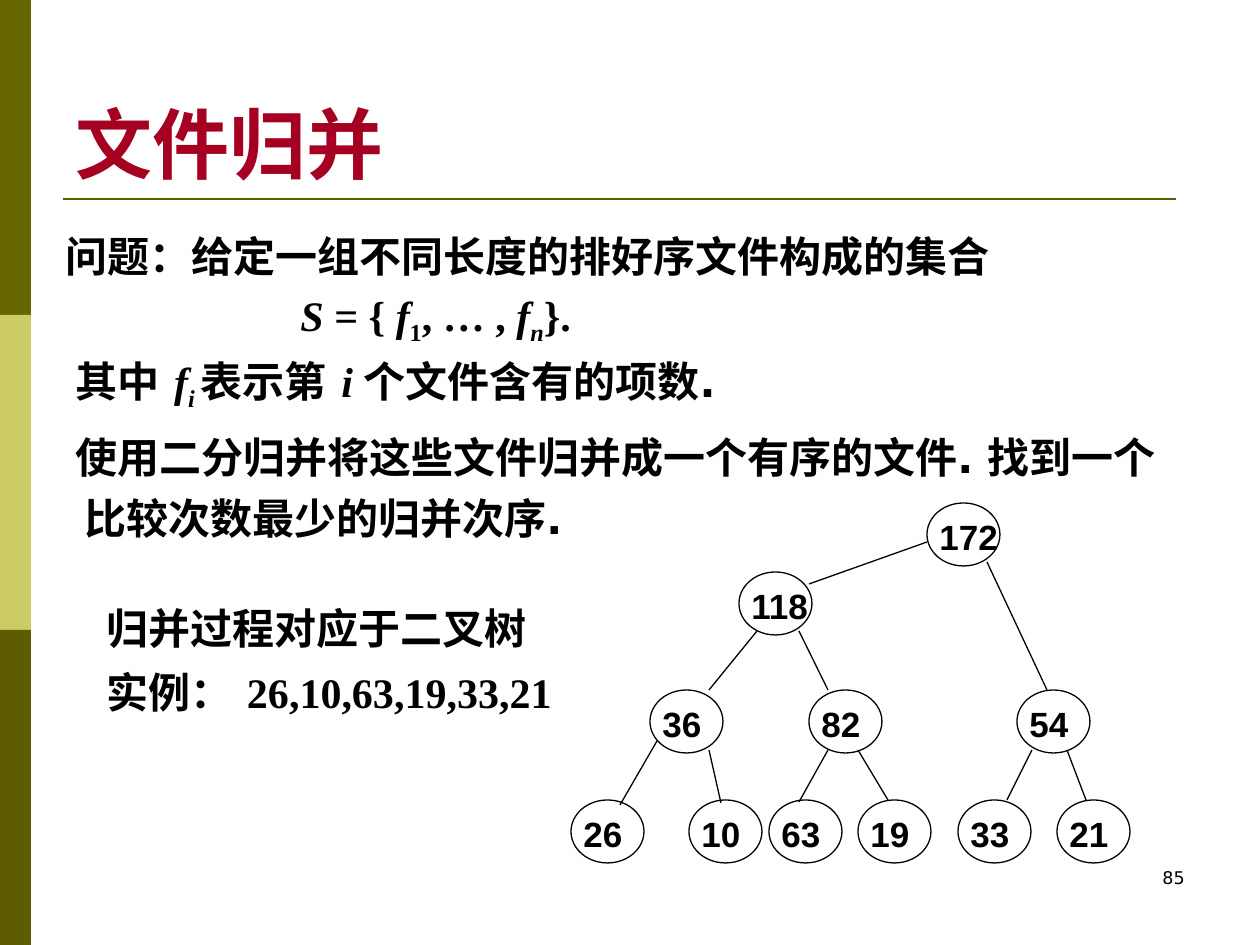
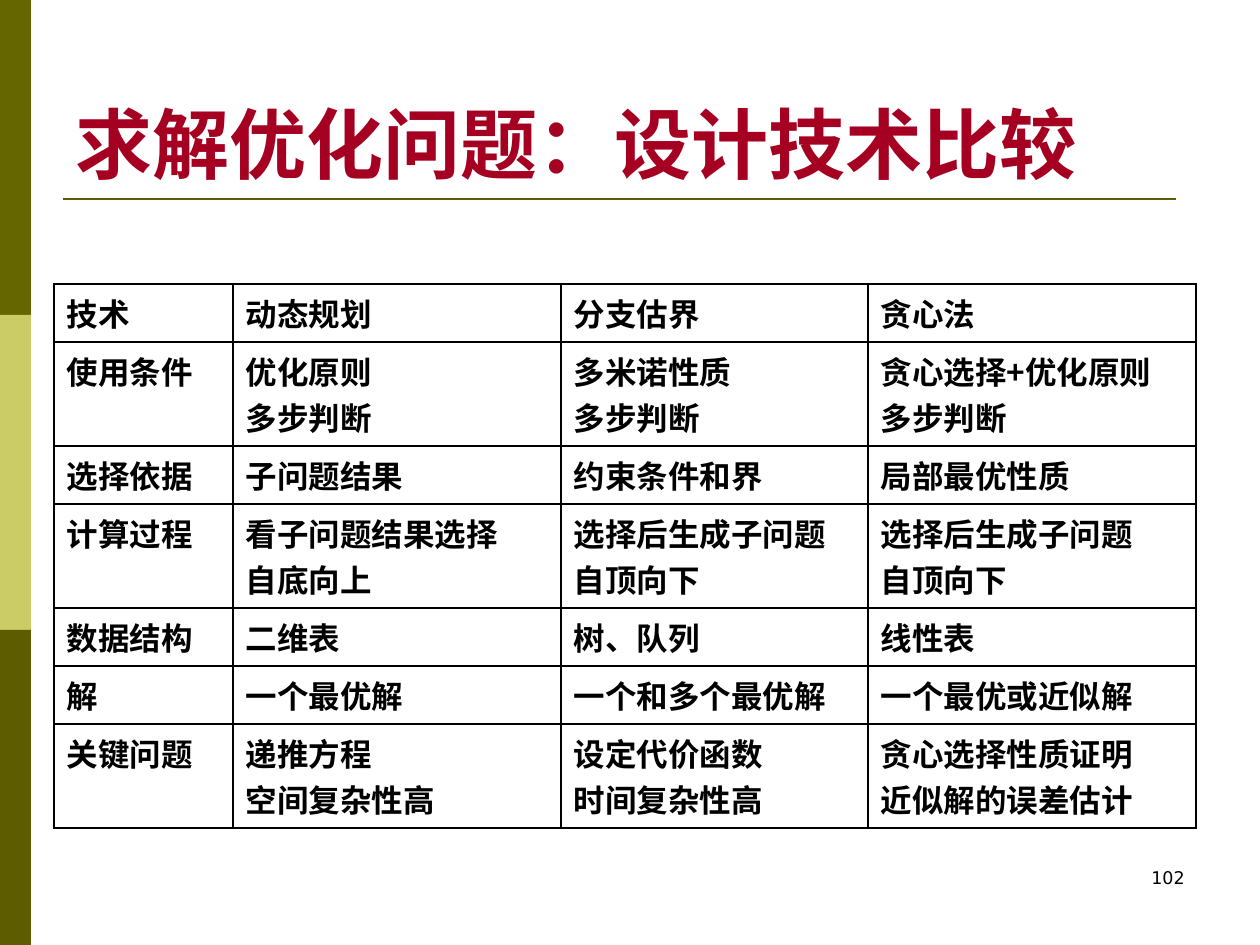
from pptx import Presentation
from pptx.dml.color import RGBColor
from pptx.enum.shapes import MSO_CONNECTOR, MSO_SHAPE
from pptx.enum.text import MSO_ANCHOR, PP_ALIGN
from pptx.oxml.ns import qn
from pptx.util import Emu, Pt
from lxml.etree import SubElement

EMU_PER_PX = 914400 / 126
COLORS = {
    "black": "000000",
    "white": "FFFFFF",
    "title": "A50021",
    "rule": "5E5C00",
    "band_top": "666600",
    "band_middle": "CCCC66",
    "band_bottom": "5E5C00",
}
SANS, SERIF, CHINESE, LABEL = "DejaVu Sans", "Times New Roman", "Noto Sans CJK SC", "Arial"

NODE_WIDTH, NODE_HEIGHT = 73, 63
LEVEL_TOPS = [503, 572, 690, 800]
# Each level lists (value, left edge).
TREE_LEVELS = [
    [(172, 927)],
    [(118, 739)],
    [(36, 650), (82, 809), (54, 1017)],
    [(26, 571), (10, 689), (63, 769), (19, 858), (33, 958), (21, 1057)],
]
# Each branch runs from its parent to its child: x, y, x, y.
BRANCHES = [
    (927, 542, 809, 584), (987, 562, 1047, 690),
    (757, 631, 709, 690), (799, 631, 828, 690),
    (657, 741, 620, 805), (709, 750, 721, 803),
    (828, 750, 799, 802), (858, 750, 888, 800),
    (1032, 750, 1007, 800), (1067, 750, 1086, 800),
]

COLUMN_WIDTHS = [179, 328, 307, 328]
LINE_HEIGHT, CELL_PADDING = 46, 12
COMPARISON = [
    ["技术", "动态规划", "分支估界", "贪心法"],
    ["使用条件", "优化原则\n多步判断", "多米诺性质\n多步判断", "贪心选择+优化原则\n多步判断"],
    ["选择依据", "子问题结果", "约束条件和界", "局部最优性质"],
    ["计算过程", "看子问题结果选择\n自底向上", "选择后生成子问题\n自顶向下", "选择后生成子问题\n自顶向下"],
    ["数据结构", "二维表", "树、队列", "线性表"],
    ["解", "一个最优解", "一个和多个最优解", "一个最优或近似解"],
    ["关键问题", "递推方程\n空间复杂性高", "设定代价函数\n时间复杂性高", "贪心选择性质证明\n近似解的误差估计"],
]


def px(length):
    return Emu(round(length * EMU_PER_PX))


def rgb(name):
    return RGBColor.from_string(COLORS[name])


def add_span(para, text, size=24, font=SERIF, east_asian=SANS, color="black",
             bold=True, italic=False, baseline=0):
    span = para.add_run()
    span.text = text
    span.font.size = Pt(size)
    span.font.name = font
    span.font.bold = bold
    span.font.italic = italic
    span.font.color.rgb = rgb(color)
    properties = span.font._element
    SubElement(properties, qn("a:ea"), typeface=east_asian)
    if baseline:
        properties.set("baseline", str(baseline * 1000))


def write_paragraph(para, spans, align=PP_ALIGN.LEFT, before=0, spacing=None,
                    margin=0, indent=0, **style):
    """Write a string, or a list of (text, style) spans, into one paragraph."""
    para.alignment = align
    para.space_before = Pt(before)
    if spacing:
        para.line_spacing = spacing
    properties = para._p.get_or_add_pPr()
    properties.set("marL", str(px(margin)))
    properties.set("indent", str(px(indent)))
    for text, own_style in [(spans, {})] if isinstance(spans, str) else spans:
        add_span(para, text, **{**style, **own_style})


def add_text(page, text, left, top, width, height, anchor=MSO_ANCHOR.TOP, wrap=True, **style):
    """Add a text box; text is a string or a list of (spans, paragraph format)."""
    box = page.shapes.add_textbox(px(left), px(top), px(width), px(height))
    frame = box.text_frame
    frame.word_wrap = wrap
    frame.vertical_anchor = anchor
    paragraphs = [(text, {})] if isinstance(text, str) else text
    for index, (spans, layout) in enumerate(paragraphs):
        para = frame.add_paragraph() if index else frame.paragraphs[0]
        write_paragraph(para, spans, **{**style, **layout})


def add_line(page, x1, y1, x2, y2, color="black", weight=0.75):
    line = page.shapes.add_connector(MSO_CONNECTOR.STRAIGHT, px(x1), px(y1), px(x2), px(y2))
    line.line.color.rgb = rgb(color)
    line.line.width = Pt(weight)
    SubElement(line._element.spPr, qn("a:effectLst"))


def add_band(page, top, color):
    band = page.shapes.add_shape(MSO_SHAPE.RECTANGLE, 0, px(top), px(31), px(315))
    band.shadow.inherit = False
    band.fill.solid()
    band.fill.fore_color.rgb = rgb(color)
    band.line.fill.background()


def add_page(deck, title, number):
    page = deck.slides.add_slide(deck.slide_layouts[6])
    for index, color in enumerate(["band_top", "band_middle", "band_bottom"]):
        add_band(page, index * 315, color)
    add_line(page, 63, 199, 1176, 199, "rule", 1.5)
    add_text(page, str(number), 903, 861, 294, 63, align=PP_ALIGN.RIGHT,
             size=10, font=SANS, bold=False)
    add_text(page, title, 63, 38, 1134, 157, anchor=MSO_ANCHOR.BOTTOM, size=44, color="title")
    return page


def add_node(page, value, left, top):
    node = page.shapes.add_shape(MSO_SHAPE.OVAL, px(left), px(top), px(NODE_WIDTH), px(NODE_HEIGHT))
    node.shadow.inherit = False
    node.fill.background()
    node.line.color.rgb = rgb("black")
    node.line.width = Pt(0.75)
    label_width = 90 if value > 99 else 68
    add_text(page, str(value), left, top + 6, label_width, 54, size=20, font=LABEL)


def add_tree(page):
    for branch in BRANCHES:
        add_line(page, *branch)
    for top, level in zip(LEVEL_TOPS, TREE_LEVELS):
        for value, left in level:
            add_node(page, value, left, top)


def add_problem(page):
    italic = {"italic": True}
    subscript = {"baseline": -25}
    sans = {"font": SANS}
    add_text(page, [
        ([("问题：给定一组不同长度的排好序文件构成的集合", sans)], {"margin": 48, "indent": -20}),
        ([("S ", italic), ("= { ", {}), ("f", italic), ("1", subscript), (", … , ", {}),
          ("f", italic), ("n", {**italic, **subscript}), ("}.", {})], {"margin": 263}),
        ([("其中 ", {}), ("f", italic), ("i ", {**italic, **subscript}), ("表示第 ", {}),
          ("i ", italic), ("个", {}), ("文件含有的项数.", sans)], {"margin": 38}),
        ([("使用二分归并将这些文件归并成一个有序的文件. 找到一个比较次数最少的归并次序.", sans)],
         {"margin": 47, "indent": -9, "spacing": 1.2}),
    ], 25, 224, 1152, 317, before=5)
    add_text(page, [("归并过程对应于二叉树", {}), ("实例： 26,10,63,19,33,21", {})],
             94, 591, 502, 134, before=5, spacing=1.1)


def format_cell(cell, text):
    properties = cell._tc.get_or_add_tcPr()
    for side in ["lnL", "lnR", "lnT", "lnB"]:
        border = SubElement(properties, qn(f"a:{side}"), w=str(Pt(1)))
        fill = SubElement(border, qn("a:solidFill"))
        SubElement(fill, qn("a:srgbClr"), val=COLORS["black"])
    cell.fill.solid()
    cell.fill.fore_color.rgb = rgb("white")
    frame = cell.text_frame
    for index, line in enumerate(text.split("\n")):
        para = frame.add_paragraph() if index else frame.paragraphs[0]
        write_paragraph(para, line, size=18, font=CHINESE, east_asian=CHINESE)


def add_comparison(page):
    heights = [CELL_PADDING + LINE_HEIGHT * (row[1].count("\n") + 1) for row in COMPARISON]
    table = page.shapes.add_table(len(COMPARISON), len(COLUMN_WIDTHS), px(54), px(284),
                                  px(sum(COLUMN_WIDTHS)), px(sum(heights))).table
    for column, width in zip(table.columns, COLUMN_WIDTHS):
        column.width = px(width)
    for row, height, texts in zip(table.rows, heights, COMPARISON):
        row.height = px(height)
        for cell, text in zip(row.cells, texts):
            format_cell(cell, text)


def main():
    deck = Presentation()
    deck.slide_width, deck.slide_height = px(1260), px(945)
    merge_page = add_page(deck, "文件归并", 85)
    add_problem(merge_page)
    add_tree(merge_page)
    comparison_page = add_page(deck, "求解优化问题：设计技术比较", 102)
    add_comparison(comparison_page)
    deck.save("out.pptx")


if __name__ == "__main__":
    main()
